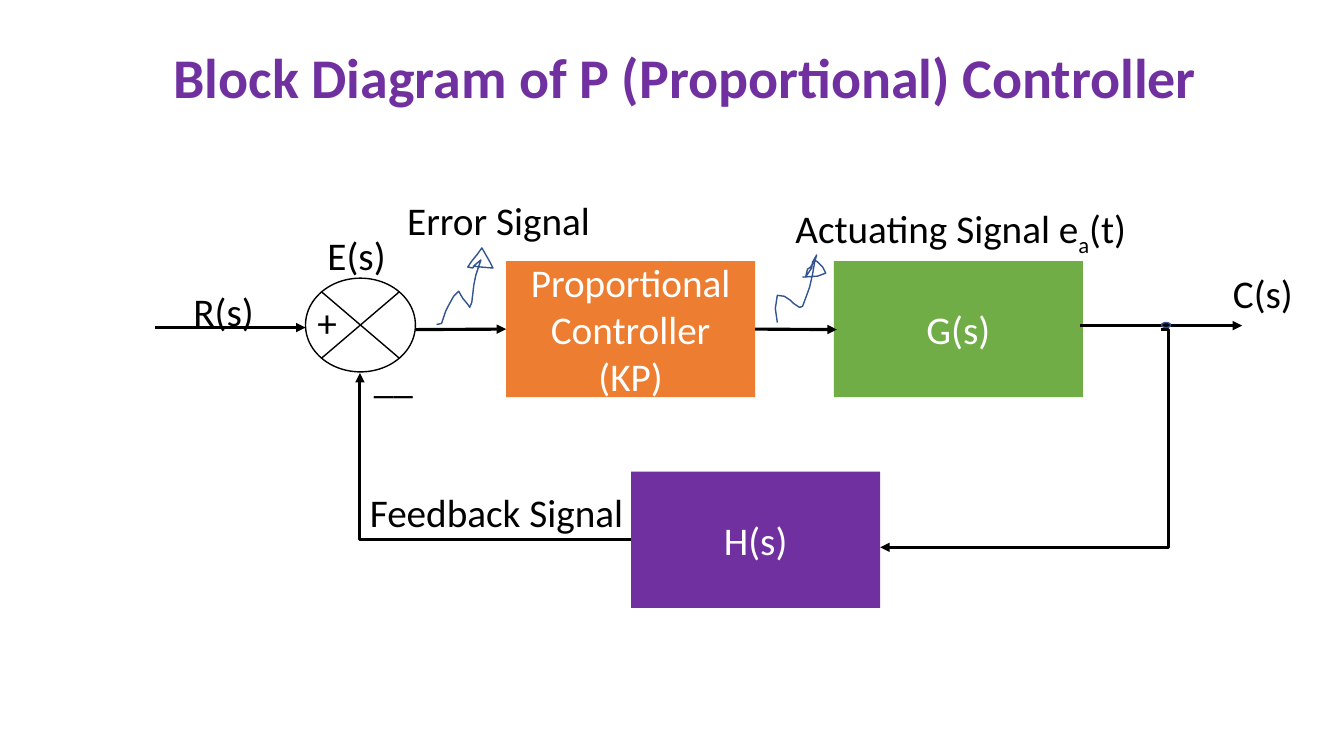
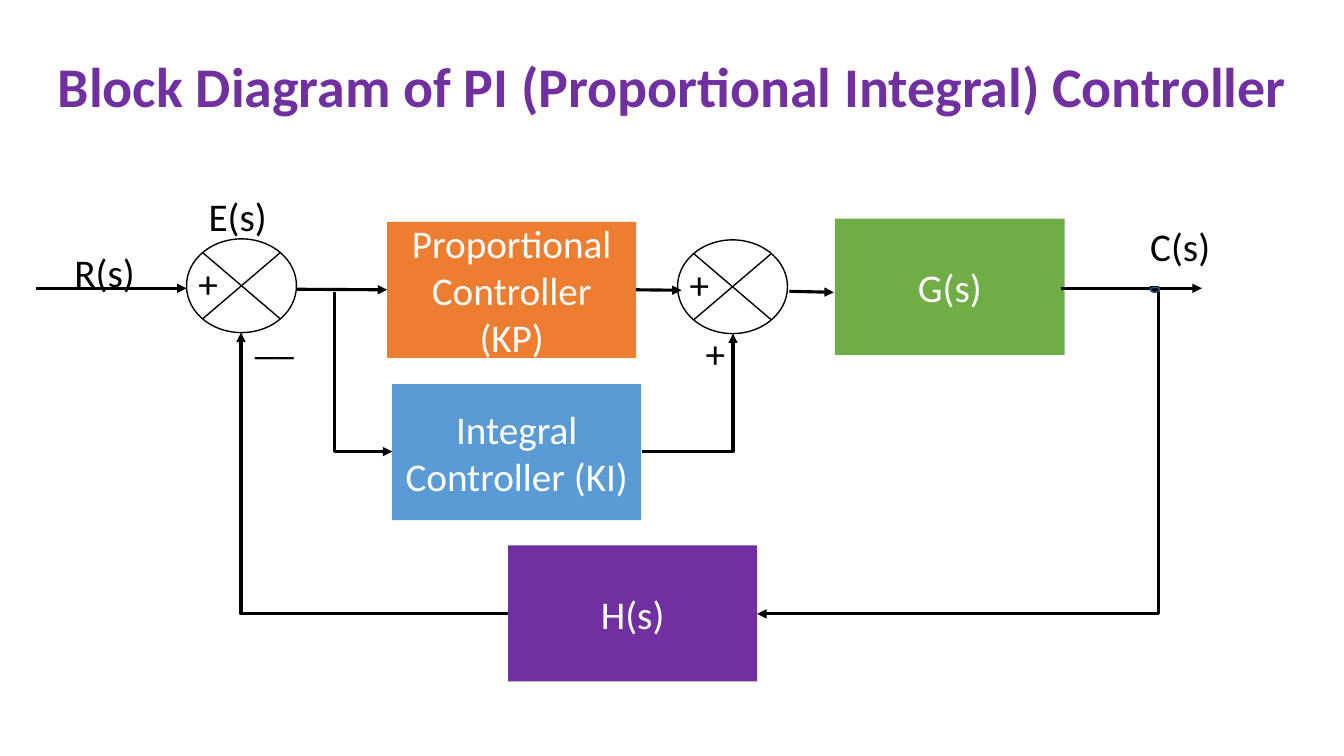
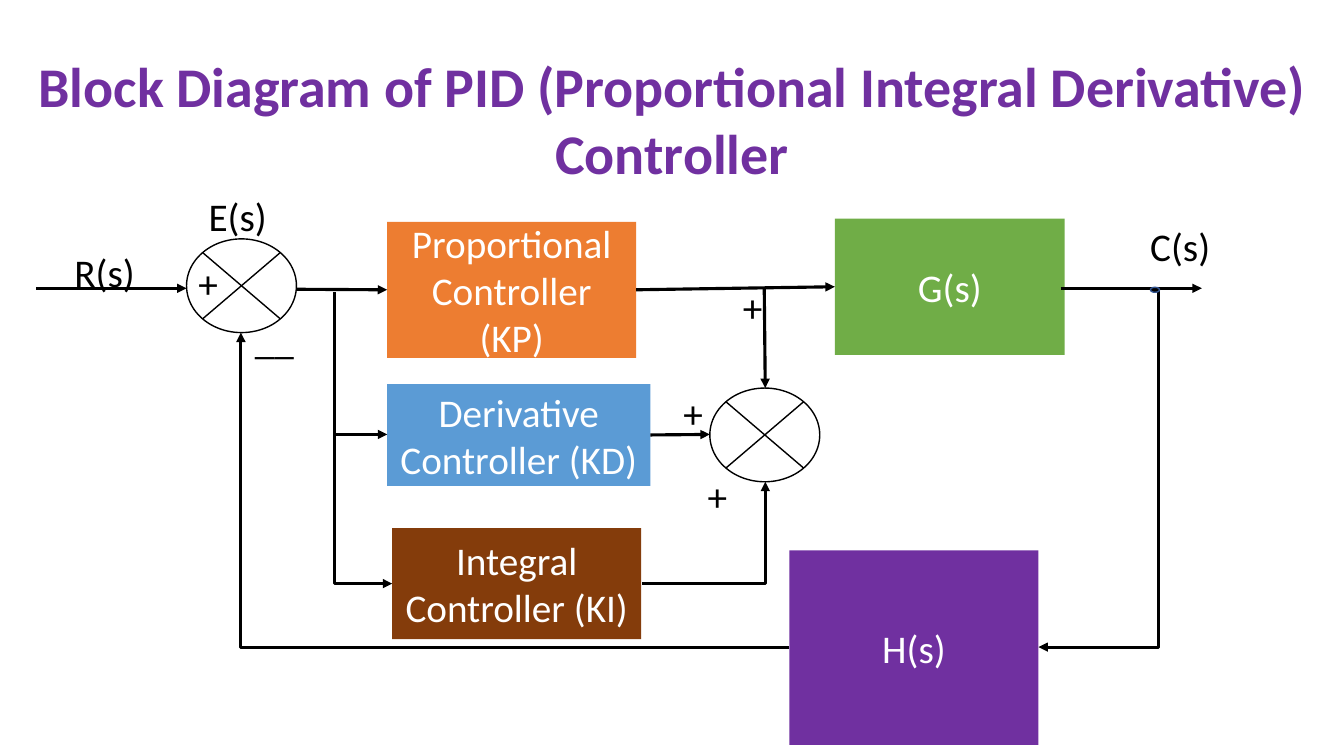
from dataclasses import dataclass
from typing import Optional

from lxml import etree
from pptx import Presentation
from pptx.dml.color import RGBColor
from pptx.enum.shapes import MSO_CONNECTOR, MSO_SHAPE
from pptx.enum.text import MSO_ANCHOR, MSO_AUTO_SIZE, PP_ALIGN
from pptx.oxml.ns import qn
from pptx.util import Emu, Pt

PX = 9144
SLIDE_WIDTH, SLIDE_HEIGHT = 1333, 750
TITLE_ONLY = 5
FONT = "Calibri"
LABEL_HEIGHT = 57
JUNCTION_SIZE = (109, 93)
DOT_SIZE = (9, 5)
LEFT_SIDE, RIGHT_SIDE = 1, 3

STRAIGHT, ELBOW = MSO_CONNECTOR.STRAIGHT, MSO_CONNECTOR.ELBOW
RECTANGLE, OVAL = MSO_SHAPE.RECTANGLE, MSO_SHAPE.OVAL
SUMMING_JUNCTION = MSO_SHAPE.FLOWCHART_SUMMING_JUNCTION
LEFT, CENTER = PP_ALIGN.LEFT, PP_ALIGN.CENTER
TOP, MIDDLE = MSO_ANCHOR.TOP, MSO_ANCHOR.MIDDLE
NO_AUTOFIT = MSO_AUTO_SIZE.NONE

BLACK = RGBColor(0x00, 0x00, 0x00)
WHITE = RGBColor(0xFF, 0xFF, 0xFF)
PURPLE = RGBColor(0x70, 0x30, 0xA0)
ORANGE = RGBColor(0xED, 0x7D, 0x31)
GREEN = RGBColor(0x70, 0xAD, 0x47)
BLUE = RGBColor(0x5B, 0x9B, 0xD5)
BROWN = RGBColor(0x84, 0x3C, 0x0B)
INK = RGBColor(0x32, 0x54, 0x91)

Point = tuple[int, int]
Box = tuple[int, int, int, int]


@dataclass(frozen=True)
class Block:
    text: str
    box: Box
    fill: RGBColor


@dataclass(frozen=True)
class Label:
    text: str
    left: int
    top: int
    width: int
    subscript: str = ""
    ending: str = ""


@dataclass(frozen=True)
class Arrow:
    start: Point
    end: Point
    source: Optional[Block] = None
    target: Optional[Block] = None


@dataclass(frozen=True)
class Elbow:
    start: Point
    end: Point
    vertical_first: bool = False
    adjust: Optional[int] = None


@dataclass(frozen=True)
class Diagram:
    title: str
    title_box: Box
    origin: Point
    dot: Point
    blocks: list[Block]
    labels: list[Label]
    arrows: list[Arrow]
    elbows: list[Elbow]
    junctions: tuple[Point, ...] = ()
    squiggles: tuple[tuple[Point, ...], ...] = ()


def px(*lengths: int) -> list[Emu]:
    return [Emu(round(length * PX)) for length in lengths]


def style_text(paragraph, size: int, color: RGBColor, align, bold: bool = False) -> None:
    paragraph.alignment = align
    font = paragraph.font
    font.name, font.size, font.bold = FONT, Pt(size), bold
    font.color.rgb = color


def add_title(page, text: str, box: Box) -> None:
    title = page.shapes.title
    title.left, title.top, title.width, title.height = px(*box)
    frame = title.text_frame
    frame.text = text
    frame.word_wrap = True
    frame.auto_size = NO_AUTOFIT
    frame.vertical_anchor = TOP
    style_text(frame.paragraphs[0], 40, PURPLE, CENTER, bold=True)


def add_outline(page, kind, box: Box, color: RGBColor, fill: Optional[RGBColor] = None) -> None:
    shape = page.shapes.add_shape(kind, *px(*box))
    shape.shadow.inherit = False
    if fill is None:
        shape.fill.background()
    else:
        shape.fill.solid()
        shape.fill.fore_color.rgb = fill
    shape.line.color.rgb = color
    shape.line.width = Pt(1)


def add_block(page, block: Block):
    shape = page.shapes.add_shape(RECTANGLE, *px(*block.box))
    shape.shadow.inherit = False
    shape.fill.solid()
    shape.fill.fore_color.rgb = block.fill
    shape.line.fill.background()
    frame = shape.text_frame
    frame.word_wrap = True
    frame.vertical_anchor = MIDDLE
    frame.text = block.text
    style_text(frame.paragraphs[0], 28, WHITE, CENTER)
    return shape


def add_label(page, label: Label) -> None:
    box = page.shapes.add_textbox(*px(label.left, label.top, label.width, LABEL_HEIGHT))
    frame = box.text_frame
    frame.word_wrap = True
    paragraph = frame.paragraphs[0]
    paragraph.add_run().text = label.text
    if label.subscript:
        span = paragraph.add_run()
        span.text = label.subscript
        span._r.get_or_add_rPr().set("baseline", "-25000")
        paragraph.add_run().text = label.ending
    style_text(paragraph, 28, BLACK, LEFT)


def finish_arrow(connector) -> None:
    connector.line.color.rgb = BLACK
    connector.line.width = Pt(2.25)
    properties = connector._element.spPr
    etree.SubElement(properties.find(qn("a:ln")), qn("a:tailEnd"), type="triangle")
    etree.SubElement(properties, qn("a:effectLst"))


def add_arrow(page, arrow: Arrow, shapes: dict) -> None:
    connector = page.shapes.add_connector(STRAIGHT, *px(*arrow.start, *arrow.end))
    if arrow.source:
        connector.begin_connect(shapes[arrow.source], RIGHT_SIDE)
    if arrow.target:
        connector.end_connect(shapes[arrow.target], LEFT_SIDE)
    finish_arrow(connector)


def add_elbow(page, elbow: Elbow) -> None:
    (x1, y1), (x2, y2) = elbow.start, elbow.end
    ends = (x1, y1, x2, y2)
    if elbow.vertical_first:
        across, down = abs(x2 - x1), abs(y2 - y1)
        left, top = (x1 + x2 - down) / 2, (y1 + y2 - across) / 2
        ends = (left, top, left + down, top + across)
    connector = page.shapes.add_connector(ELBOW, *px(*ends))
    properties = connector._element.spPr
    geometry = properties.find(qn("a:prstGeom"))
    if elbow.vertical_first:
        transform = properties.find(qn("a:xfrm"))
        transform.set("rot", "5400000" if x2 < x1 else "16200000")
        if x2 > x1:
            transform.set("flipH", "1")
    if elbow.adjust is None:
        geometry.set("prst", "bentConnector2")
    else:
        guides = geometry.find(qn("a:avLst"))
        etree.SubElement(guides, qn("a:gd"), name="adj1", fmla=f"val {elbow.adjust}")
    finish_arrow(connector)


def add_squiggle(page, points: tuple[Point, ...]) -> None:
    builder = page.shapes.build_freeform(*points[0], scale=PX)
    builder.add_line_segments(points[1:], close=False)
    shape = builder.convert_to_shape()
    shape.shadow.inherit = False
    shape.fill.background()
    shape.line.color.rgb = INK
    shape.line.width = Pt(1)


def add_input_stage(page, origin: Point) -> None:
    x, y = origin
    add_outline(page, SUMMING_JUNCTION, (x, y, *JUNCTION_SIZE), BLACK)
    add_arrow(page, Arrow((x - 149, y + 49), (x, y + 49)), {})
    for label in (
        Label("R(s)", x - 121, y + 4, 121),
        Label("+", x + 2, y + 15, 25),
        Label("__", x + 58, y + 71, 89),
        Label("E(s)", x + 12, y - 51, 97),
    ):
        add_label(page, label)


def draw_diagram(deck, diagram: Diagram) -> None:
    page = deck.slides.add_slide(deck.slide_layouts[TITLE_ONLY])
    add_title(page, diagram.title, diagram.title_box)
    shapes = {block: add_block(page, block) for block in diagram.blocks}
    add_input_stage(page, diagram.origin)
    for junction in diagram.junctions:
        add_outline(page, SUMMING_JUNCTION, (*junction, *JUNCTION_SIZE), BLACK)
    for arrow in diagram.arrows:
        add_arrow(page, arrow, shapes)
    for elbow in diagram.elbows:
        add_elbow(page, elbow)
    add_outline(page, OVAL, (*diagram.dot, *DOT_SIZE), INK, BLACK)
    for label in diagram.labels:
        add_label(page, label)
    for squiggle in diagram.squiggles:
        add_squiggle(page, squiggle)


def proportional(left: int, top: int) -> Block:
    return Block("Proportional Controller (KP)", (left, top, 247, 135), ORANGE)


def integral(top: int, height: int, fill: RGBColor) -> Block:
    return Block("Integral Controller (KI)", (389, top, 247, height), fill)


def plant(left: int, top: int, width: int) -> Block:
    return Block("G(s)", (left, top, width, 135), GREEN)


def feedback(left: int, top: int, height: int = 135) -> Block:
    return Block("H(s)", (left, top, 247, height), PURPLE)


ACTUATING_SQUIGGLE = (
    (771, 320), (769, 306), (771, 293), (778, 294), (784, 298), (787, 301), (793, 305),
    (796, 304), (799, 296), (803, 285), (806, 272), (808, 260), (810, 253), (806, 260),
    (805, 266), (801, 272), (799, 275), (801, 267), (804, 265), (808, 258), (811, 260),
    (816, 265), (819, 271), (811, 274), (796, 275),
)
ERROR_SQUIGGLE = (
    (433, 322), (438, 321), (442, 309), (445, 303), (450, 294), (455, 289), (459, 296),
    (464, 302), (466, 305), (468, 300), (470, 283), (472, 273), (474, 267), (477, 258),
    (471, 263), (469, 266), (464, 265), (468, 259), (473, 253), (478, 246), (482, 253),
    (486, 260), (489, 266), (477, 265), (469, 264),
)

P_CONTROLLER = proportional(502, 259)
MAIN_CONTROLLER = proportional(384, 220)
MAIN_PLANT = plant(828, 217, 228)
DERIVATIVE = Block("Derivative Controller (KD)", (384, 381, 261, 101), BLUE)
MAIN_ORIGIN, MAIN_DOT = (185, 237), (1141, 285)
MAIN_OUTPUT = Label("C(s)", 1131, 216, 121)
MAIN_ARROWS = [
    Arrow((294, 287), (384, 287), target=MAIN_CONTROLLER),
    Arrow((1052, 286), (1192, 286)),
]

DIAGRAMS = [
    Diagram(
        title="Block Diagram of P (Proportional) Controller",
        title_box=(51, 37, 1257, 77),
        origin=(303, 276),
        dot=(1152, 320),
        blocks=[P_CONTROLLER, plant(827, 259, 247), feedback(626, 468)],
        labels=[
            Label("C(s)", 1213, 262, 121),
            Label("Feedback Signal", 357, 480, 322),
            Label("Error Signal", 394, 190, 311),
            Label("Actuating Signal e", 779, 198, 408, "a", "(t)"),
        ],
        arrows=[
            Arrow((412, 327), (502, 327), target=P_CONTROLLER),
            Arrow((749, 327), (830, 327), source=P_CONTROLLER),
            Arrow((1071, 323), (1232, 323)),
        ],
        elbows=[
            Elbow((1152, 327), (873, 543), adjust=-2600),
            Elbow((626, 535), (357, 370)),
        ],
        squiggles=(ACTUATING_SQUIGGLE, ERROR_SQUIGGLE),
    ),
    Diagram(
        title="Block Diagram of PI (Proportional Integral) Controller",
        title_box=(0, 46, SLIDE_WIDTH, 77),
        origin=MAIN_ORIGIN,
        dot=MAIN_DOT,
        blocks=[MAIN_CONTROLLER, MAIN_PLANT, feedback(504, 541), integral(381, 135, BLUE)],
        labels=[MAIN_OUTPUT, Label("+", 674, 253, 25), Label("+", 690, 322, 25)],
        arrows=MAIN_ARROWS + [
            Arrow((632, 287), (676, 288), source=MAIN_CONTROLLER),
            Arrow((783, 289), (827, 290)),
        ],
        elbows=[
            Elbow((1141, 285), (751, 609), adjust=-2000),
            Elbow((504, 609), (239, 330)),
            Elbow((637, 448), (727, 331)),
            Elbow((332, 290), (389, 448), vertical_first=True),
        ],
        junctions=((672, 238),),
    ),
    Diagram(
        title="Block Diagram of PID (Proportional Integral Derivative) Controller",
        title_box=(0, 46, SLIDE_WIDTH, 145),
        origin=MAIN_ORIGIN,
        dot=MAIN_DOT,
        blocks=[
            MAIN_CONTROLLER, MAIN_PLANT, feedback(783, 546, 193),
            DERIVATIVE, integral(524, 110, BROWN),
        ],
        labels=[
            MAIN_OUTPUT, Label("+", 668, 381, 25),
            Label("+", 727, 276, 25), Label("+", 692, 464, 25),
        ],
        arrows=MAIN_ARROWS + [
            Arrow((632, 287), (828, 285), source=MAIN_CONTROLLER, target=MAIN_PLANT),
            Arrow((646, 431), (704, 431), source=DERIVATIVE),
            Arrow((758, 286), (759, 385)),
        ],
        elbows=[
            Elbow((1149, 289), (1030, 642), vertical_first=True),
            Elbow((783, 642), (239, 330)),
            Elbow((332, 290), (384, 431), vertical_first=True),
            Elbow((332, 431), (389, 579), vertical_first=True),
            Elbow((637, 579), (759, 478)),
        ],
        junctions=((704, 385),),
    ),
]


def main() -> None:
    deck = Presentation()
    deck.slide_width, deck.slide_height = px(SLIDE_WIDTH, SLIDE_HEIGHT)
    for diagram in DIAGRAMS:
        draw_diagram(deck, diagram)
    deck.save("out.pptx")


if __name__ == "__main__":
    main()
